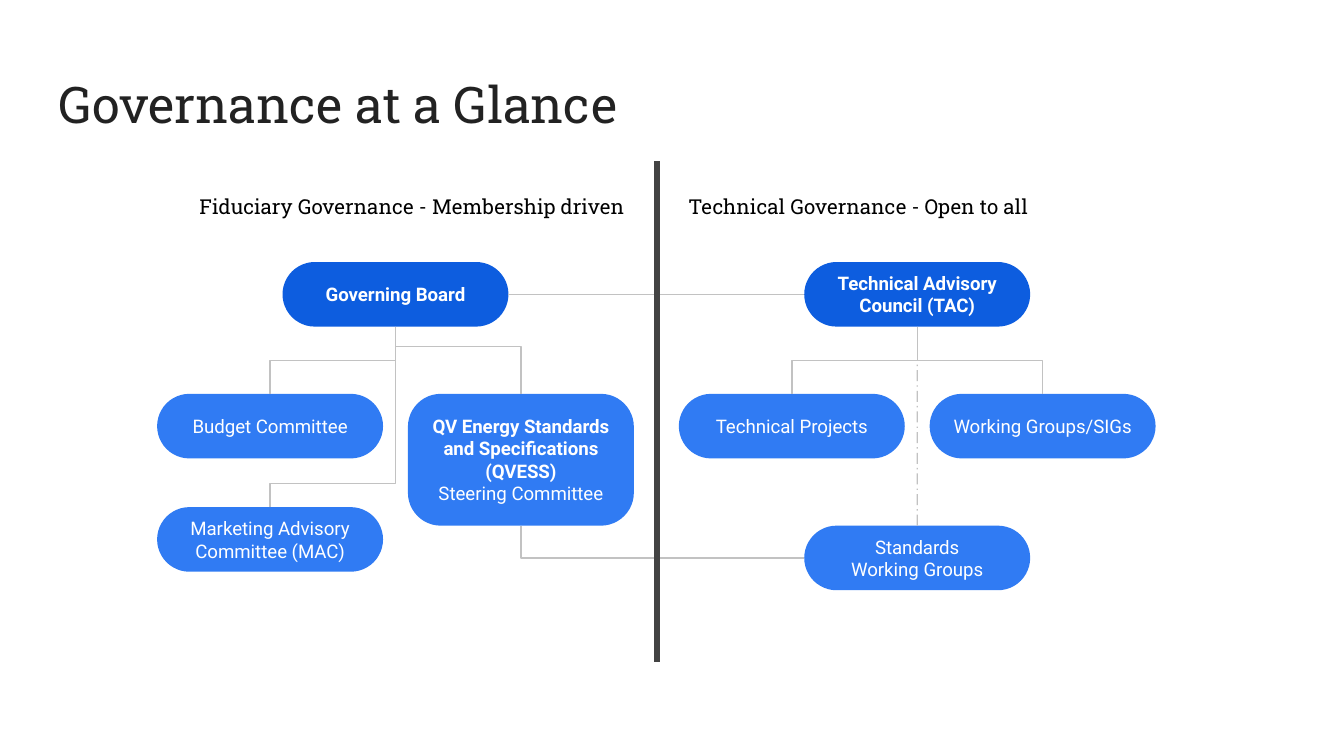
from dataclasses import dataclass

from lxml.etree import SubElement as Sub
from pptx import Presentation
from pptx.dml.color import RGBColor as Rgb
from pptx.enum.dml import MSO_LINE_DASH_STYLE as Dash
from pptx.enum.shapes import MSO_CONNECTOR_TYPE as Conn, MSO_SHAPE as Shape
from pptx.enum.text import MSO_ANCHOR as Anchor, PP_ALIGN as Align
from pptx.oxml.ns import qn
from pptx.util import Cm, Pt

TOP, LEFT, BOTTOM, RIGHT = range(4)


@dataclass(frozen=True)
class Theme:
    head: str = "Roboto Slab"
    body: str = "Roboto"
    title: str = "222222"
    label: str = "000000"
    lead: str = "0D5DDF"
    unit: str = "307BF3"
    light: str = "FFFFFF"
    link: str = "C2C2C2"
    wall: str = "434343"
    big: float = 27
    mid: float = 11
    small: float = 10
    thin: float = 0.75
    thick: float = 3


def write(shape, text, *, font, size, color, bold=(), align=Align.LEFT,
          anchor=Anchor.TOP, inset=0.25):
    """Fill a shape, one paragraph a line; bold lists the bold line numbers."""
    frame = shape.text_frame
    frame.word_wrap = True
    frame.vertical_anchor = anchor
    frame.margin_left = frame.margin_right = Cm(inset)
    frame.margin_top = frame.margin_bottom = Cm(inset)
    for n, line in enumerate(text.split("\n")):
        para = frame.add_paragraph() if n else frame.paragraphs[0]
        para.alignment = align
        run = para.add_run()
        run.text = line
        run.font.name, run.font.size = font, Pt(size)
        run.font.bold = n in bold
        run.font.color.rgb = Rgb.from_string(color)


class Chart:
    def __init__(self, slide, theme):
        self.slide, self.theme = slide, theme

    def text(self, text, x, y, w, h, **style):
        box = self.slide.shapes.add_textbox(Cm(x), Cm(y), Cm(w), Cm(h))
        write(box, text, **style)

    def pill(self, text, x, y, w, h, fill, bold=()):
        pill = self.slide.shapes.add_shape(
            Shape.ROUNDED_RECTANGLE, Cm(x), Cm(y), Cm(w), Cm(h))
        pill.adjustments[0] = round(0.62 / h, 2) if h > 2 else 0.5
        pill.shadow.inherit = False
        pill.fill.solid()
        pill.fill.fore_color.rgb = Rgb.from_string(fill)
        pill.line.fill.background()
        write(pill, text, font=self.theme.body, size=self.theme.small,
              color=self.theme.light, bold=bold, align=Align.CENTER,
              anchor=Anchor.MIDDLE)
        return pill

    def line(self, kind=Conn.STRAIGHT, ends=(0, 0, 0, 0), color=None,
             width=None, dash=None):
        line = self.slide.shapes.add_connector(kind, *map(Cm, ends))
        line.line.color.rgb = Rgb.from_string(color or self.theme.link)
        line.line.width = Pt(width or self.theme.thin)
        if dash:
            line.line.dash_style = dash
        Sub(line.element.spPr, qn("a:effectLst"))
        return line

    def join(self, a, side, b, end, kind=Conn.STRAIGHT):
        line = self.line(kind)
        line.begin_connect(a, side)
        line.end_connect(b, end)
        return line

    def turn(self, line, angle, flip=False):
        xfrm = line.element.spPr.find(qn("a:xfrm"))
        xfrm.set("rot", str(angle * 60000))
        xfrm.set("flipH", str(int(flip)))
        xfrm.set("flipV", "0")

    def branch(self, boss, unit, bend=0.5):
        """Elbow from the boss down to the unit, turning at bend of the drop."""
        line = self.join(boss, BOTTOM, unit, TOP, Conn.ELBOW)
        right = line.end_x > line.begin_x
        midx = (line.begin_x + line.end_x) // 2
        midy = (line.begin_y + line.end_y) // 2
        wide, drop = line.height, line.width
        line.width, line.height = wide, drop
        line.left, line.top = midx - wide // 2, midy - drop // 2
        self.turn(line, 270 if right else 90, right)
        geom = line.element.spPr.find(qn("a:prstGeom"))
        guides = geom.find(qn("a:avLst"))
        if guides is None:
            guides = Sub(geom, qn("a:avLst"))
        Sub(guides, qn("a:gd"), name="adj1", fmla=f"val {round(bend * 100000)}")

    def hook(self, low, high):
        """One-bend elbow from the left of low to the bottom of high."""
        line = self.join(low, LEFT, high, BOTTOM, Conn.ELBOW)
        line.element.spPr.find(qn("a:prstGeom")).set("prst", "bentConnector2")
        self.turn(line, 180)


def main():
    deck = Presentation()
    deck.slide_width, deck.slide_height = Cm(25.4), Cm(14.28)
    theme = Theme()
    chart = Chart(deck.slides.add_slide(deck.slide_layouts[6]), theme)

    chart.text("Governance at a Glance", 0.86, 1.14, 23.67, 1.68,
               font=theme.head, size=theme.big, color=theme.title)
    for text, x, align in (
            ("Fiduciary Governance - Membership driven", 1.63, Align.RIGHT),
            ("Technical Governance - Open to all", 12.83, Align.LEFT)):
        chart.text(text, x, 3.48, 10.36, 0.86, font=theme.head,
                   size=theme.mid, color=theme.label, align=align, inset=0.18)

    w, h, step = 4.27, 1.22, 4.74
    fid, tech = 2.97, 12.83
    row1, row2 = 4.95, 7.44

    board = chart.pill("Governing Board", fid + step / 2, row1, w, h,
                       theme.lead, bold=(0,))
    council = chart.pill("Technical Advisory Council (TAC)", tech + step / 2,
                         row1, w, h, theme.lead, bold=(0,))
    budget = chart.pill("Budget Committee", fid, row2, w, h, theme.unit)
    market = chart.pill("Marketing Advisory Committee (MAC)", fid, 9.58, w, h,
                        theme.unit)
    steer = chart.pill("QV Energy Standards and Specifications (QVESS)\n"
                       "Steering Committee", fid + step, row2, w, 2.49,
                       theme.unit, bold=(0,))
    tasks = chart.pill("Technical Projects", tech, row2, w, h, theme.unit)
    groups = chart.pill("Working Groups/SIGs", tech + step, row2, w, h,
                        theme.unit)
    norms = chart.pill("Standards\nWorking Groups", tech + step / 2, 9.93, w, h,
                       theme.unit)

    chart.join(board, RIGHT, council, LEFT)
    for boss, unit, bend in ((board, budget, 0.5), (board, steer, 0.3),
                             (board, market, 0.87), (council, tasks, 0.5),
                             (council, groups, 0.5)):
        chart.branch(boss, unit, bend)
    chart.hook(norms, steer)
    mid = tech + (step + w) / 2
    dashed = chart.line(ends=(mid, 9.93, mid, 6.86), dash=Dash.LONG_DASH_DOT)
    dashed.begin_connect(norms, TOP)
    chart.line(ends=(12.42, 3.05, 12.42, 12.5), color=theme.wall,
               width=theme.thick)
    deck.save("out.pptx")


if __name__ == "__main__":
    main()
